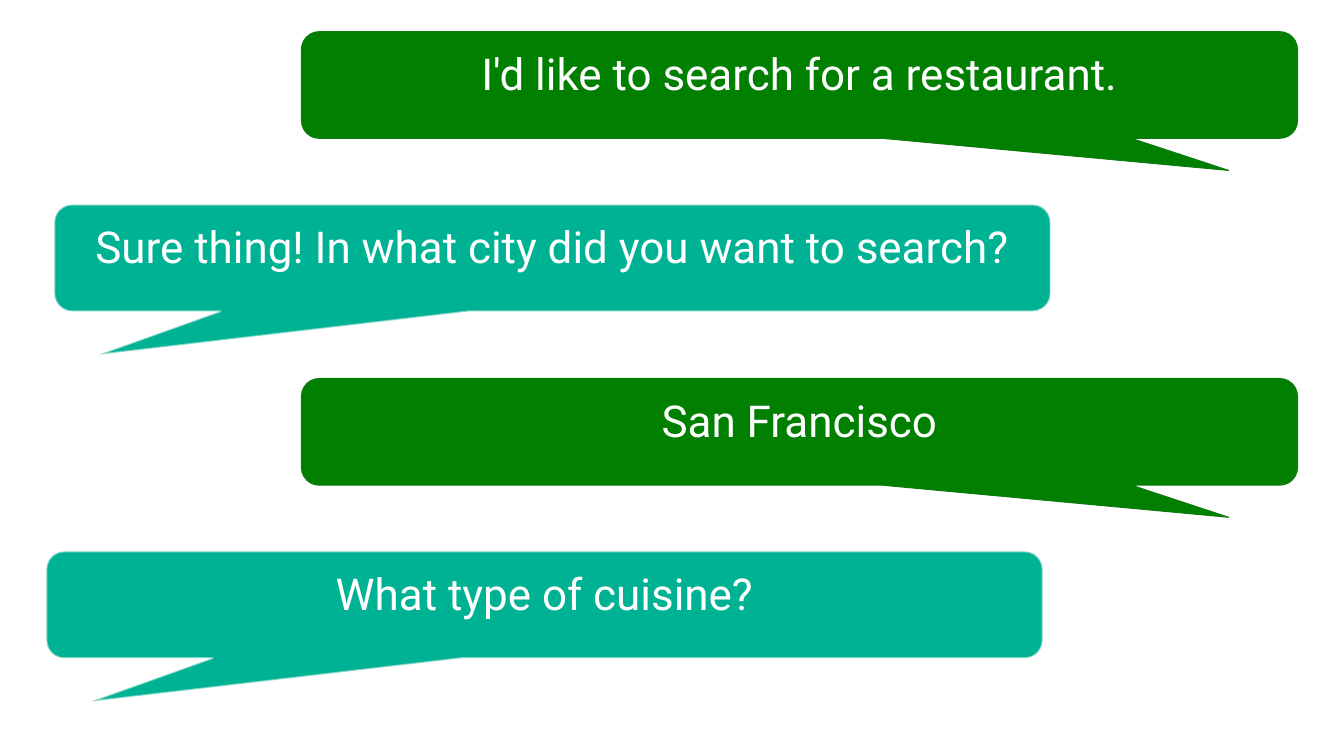
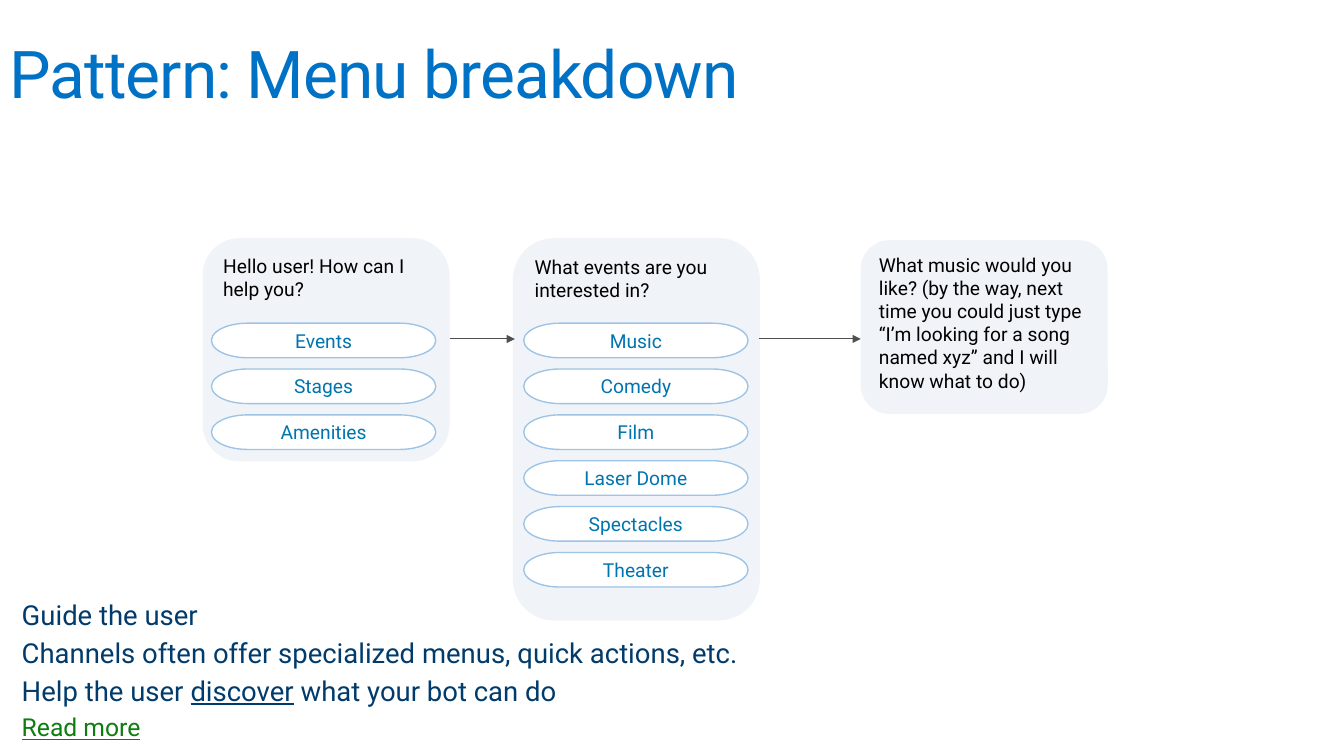
from dataclasses import dataclass
from typing import Optional

from lxml import etree
from pptx import Presentation
from pptx import util as u
from pptx.dml.color import RGBColor
from pptx.enum import shapes, text
from pptx.oxml import ns

FONT = "Roboto"
WHITE = RGBColor(0xFF, 0xFF, 0xFF)
BLACK = RGBColor(0x00, 0x00, 0x00)
USER_GREEN = RGBColor(0x00, 0x7F, 0x00)
LINK_GREEN = RGBColor(0x10, 0x7C, 0x10)
BOT_TEAL = RGBColor(0x00, 0xB2, 0x94)
PALE_EDGE = RGBColor(0xF9, 0xF9, 0xF9)
TITLE_BLUE = RGBColor(0x00, 0x72, 0xC6)
NAVY = RGBColor(0x01, 0x3B, 0x6B)
CARD_GREY = RGBColor(0xF0, 0xF4, 0xF8)
PILL_EDGE = RGBColor(0x9D, 0xC3, 0xE6)
PILL_BLUE = RGBColor(0x00, 0x74, 0xAF)
ARROW_GREY = RGBColor(0x50, 0x50, 0x50)

SMALL_MARGINS = (0.1, 0.05)
WIDE_MARGINS = (0.2, 0.16)
PILL_TOP, PILL_BOTTOM_ROW, PILL_ROWS = 3.27, 5.59, 6
PILL_PITCH = (PILL_BOTTOM_ROW - PILL_TOP) / (PILL_ROWS - 1)
CARD_WIDTH = 2.5
ARROW_Y = 3.43


@dataclass(frozen=True)
class Span:
    text: str
    underline: bool = False
    size: Optional[float] = None
    color: Optional[RGBColor] = None


@dataclass(frozen=True)
class Speaker:
    fill: RGBColor
    edge: RGBColor
    edge_width: float
    tail: tuple[float, float]
    edge_alpha: int = 100


@dataclass(frozen=True)
class Bubble:
    speaker: Speaker
    left: float
    top: float
    message: str


@dataclass(frozen=True)
class Card:
    left: float
    top: float
    height: float
    prompt: str
    pill_left: float = 0
    choices: tuple[str, ...] = ()


USER = Speaker(USER_GREEN, LINK_GREEN, 0.75, (0.431, 0.801))
BOT = Speaker(BOT_TEAL, PALE_EDGE, 1.35, (-0.455, 0.906), 50)

BUBBLES = (
    Bubble(USER, 3.05, 0.32, "I'd like to search for a restaurant."),
    Bubble(BOT, 0.55, 2.07, "Sure thing! In what city did you want to search?"),
    Bubble(USER, 3.05, 3.83, "San Francisco"),
    Bubble(BOT, 0.47, 5.58, "What type of cuisine?"),
)

CARDS = (
    Card(2.05, 2.41, 2.26, "Hello user! How can I help you?", 2.14,
         ("Events", "Stages", "Amenities")),
    Card(5.19, 2.41, 3.87, "What events are you interested in?", 5.3,
         ("Music", "Comedy", "Film", "Laser Dome", "Spectacles", "Theater")),
    Card(8.71, 2.43, 1.76,
         "What music would you like? (by the way, next time you could just type "
         "“I’m looking for a song named xyz” and I will know what to do)"),
)

GUIDANCE = (
    (Span("Guide the user"),),
    (Span("Channels often offer specialized menus, quick actions, etc."),),
    (Span("Help the user "), Span("discover", underline=True), Span(" what your bot can do")),
    (Span("Read more", underline=True, size=18, color=LINK_GREEN),),
)


def write(shape, *paragraphs: tuple[Span, ...], size: float, color: RGBColor,
          align=text.PP_ALIGN.LEFT, anchor=text.MSO_ANCHOR.TOP,
          margins: tuple[float, float] = SMALL_MARGINS, line_spacing: float = 1.0,
          space_after: float = 0, tracking: float = 0) -> None:
    frame = shape.text_frame
    frame.word_wrap = True
    frame.vertical_anchor = anchor
    frame.margin_left = frame.margin_right = u.Inches(margins[0])
    frame.margin_top = frame.margin_bottom = u.Inches(margins[1])
    for index, spans in enumerate(paragraphs):
        paragraph = frame.add_paragraph() if index else frame.paragraphs[0]
        paragraph.alignment = align
        paragraph.line_spacing = line_spacing
        paragraph.space_after = u.Pt(space_after)
        for span in spans:
            run = paragraph.add_run()
            run.text = span.text
            run.font.name = FONT
            run.font.size = u.Pt(span.size or size)
            run.font.color.rgb = span.color or color
            run.font.underline = span.underline
            if tracking:
                run._r.get_or_add_rPr().set("spc", str(round(tracking * 100)))


def add_box(slide, kind, left: float, top: float, width: float, height: float,
            fill: RGBColor, edge: Optional[RGBColor] = None, edge_width: float = 1):
    shape = slide.shapes.add_shape(
        kind, u.Inches(left), u.Inches(top), u.Inches(width), u.Inches(height))
    shape.shadow.inherit = False
    shape.fill.solid()
    shape.fill.fore_color.rgb = fill
    if edge is None:
        shape.line.fill.background()
    else:
        shape.line.color.rgb = edge
        shape.line.width = u.Pt(edge_width)
    return shape


def add_text_box(slide, left: float, top: float, width: float, height: float):
    return slide.shapes.add_textbox(
        u.Inches(left), u.Inches(top), u.Inches(width), u.Inches(height))


def add_bubble(slide, bubble: Bubble) -> None:
    speaker = bubble.speaker
    shape = add_box(slide, shapes.MSO_SHAPE.ROUNDED_RECTANGULAR_CALLOUT,
                    bubble.left, bubble.top, 10.08, 1.08,
                    speaker.fill, speaker.edge, speaker.edge_width)
    shape.adjustments[0], shape.adjustments[1] = speaker.tail
    if speaker.edge_alpha < 100:
        edge_color = shape.line._ln.find(".//" + ns.qn("a:srgbClr"))
        etree.SubElement(edge_color, ns.qn("a:alpha"), val=str(speaker.edge_alpha * 1000))
    write(shape, (Span(bubble.message),), size=32, color=WHITE,
          align=text.PP_ALIGN.CENTER, margins=WIDE_MARGINS, line_spacing=0.9)


def add_card(slide, card: Card) -> None:
    panel = add_box(slide, shapes.MSO_SHAPE.ROUNDED_RECTANGLE,
                    card.left, card.top, CARD_WIDTH, card.height, CARD_GREY)
    write(panel, (Span(card.prompt),), size=14, color=BLACK)
    for row, choice in enumerate(card.choices):
        pill = add_box(slide, shapes.MSO_SHAPE.FLOWCHART_TERMINATOR, card.pill_left,
                       PILL_TOP + row * PILL_PITCH, 2.27, 0.35, WHITE, PILL_EDGE)
        write(pill, (Span(choice),), size=14, color=PILL_BLUE,
              align=text.PP_ALIGN.CENTER, anchor=text.MSO_ANCHOR.MIDDLE)


def add_arrow(slide, start: float, end: float) -> None:
    arrow = slide.shapes.add_connector(
        shapes.MSO_CONNECTOR.STRAIGHT, u.Inches(start), u.Inches(ARROW_Y),
        u.Inches(end), u.Inches(ARROW_Y))
    arrow.line.color.rgb = ARROW_GREY
    arrow.line.width = u.Pt(0.75)
    etree.SubElement(arrow.line._ln, ns.qn("a:tailEnd"), type="triangle")
    etree.SubElement(arrow._element.spPr, ns.qn("a:effectLst"))


def build_conversation(slide) -> None:
    for bubble in BUBBLES:
        add_bubble(slide, bubble)


def build_menu_breakdown(slide) -> None:
    write(add_text_box(slide, 0, 0.32, 13, 1), (Span("Pattern: Menu breakdown"),),
          size=48, color=TITLE_BLUE, margins=(0.1, 0.1), line_spacing=0.9, tracking=-0.7)
    for card in CARDS:
        add_card(slide, card)
    add_arrow(slide, 4.55, 5.21)
    add_arrow(slide, 7.68, 8.71)
    write(add_text_box(slide, 0.02, 5.93, 13.13, 2.14), *GUIDANCE,
          size=20, color=NAVY, margins=WIDE_MARGINS, line_spacing=0.9, space_after=6)


def main() -> None:
    presentation = Presentation()
    presentation.slide_width = u.Inches(13.6)
    presentation.slide_height = u.Inches(7.65)
    blank = presentation.slide_layouts[6]
    for build in (build_conversation, build_menu_breakdown):
        build(presentation.slides.add_slide(blank))
    presentation.save("out.pptx")


if __name__ == "__main__":
    main()
